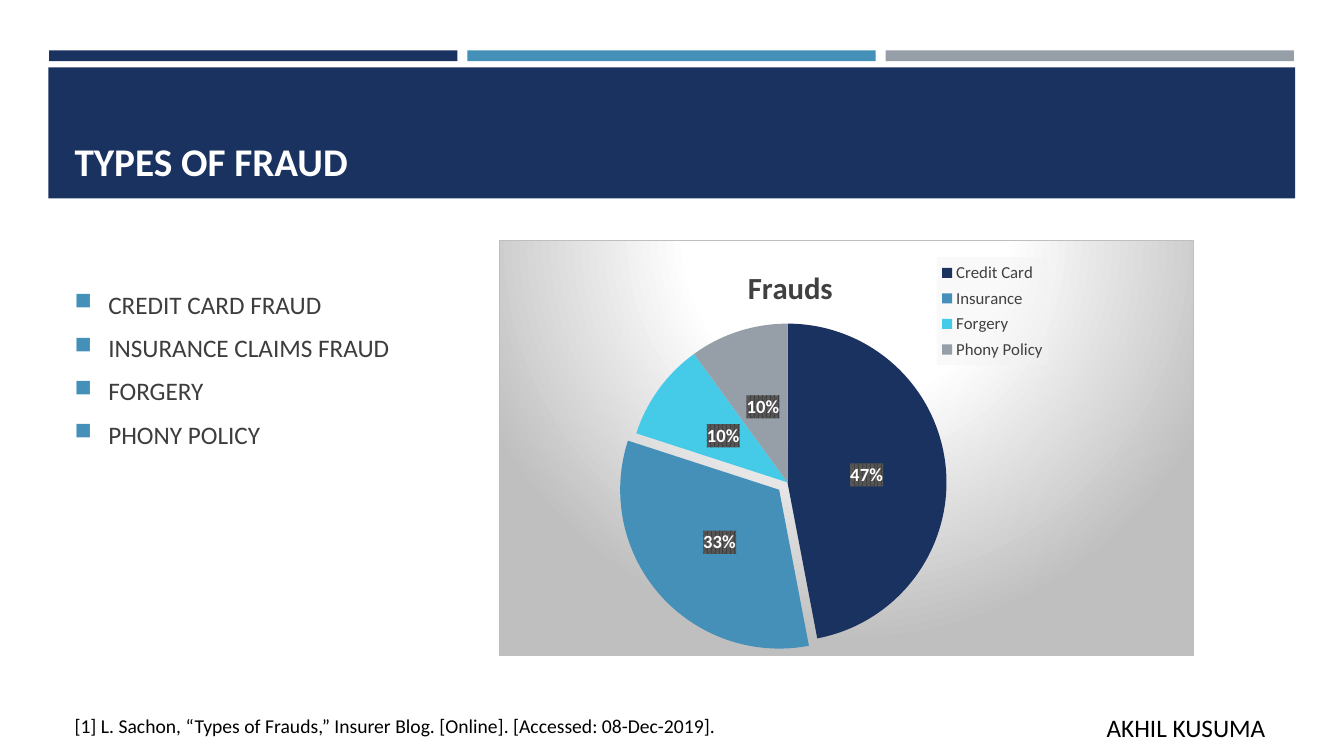
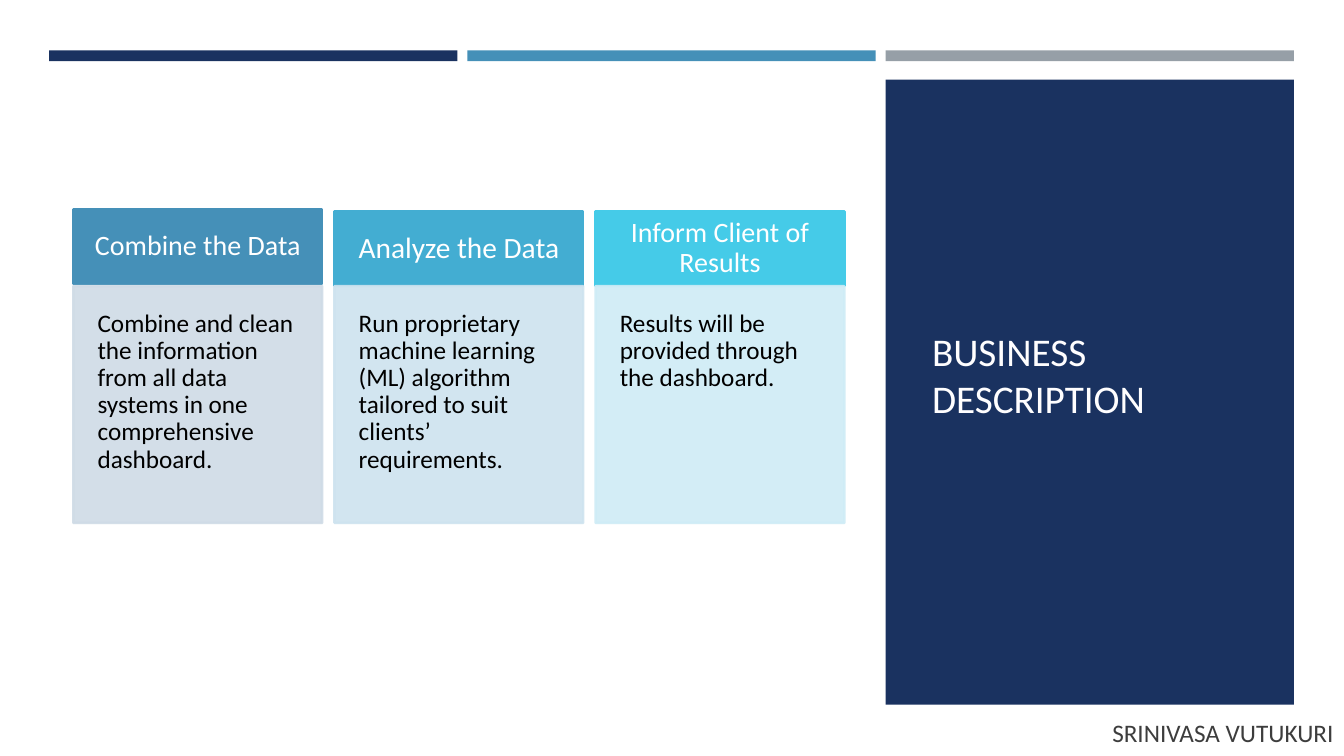
from pptx import Presentation
from pptx.chart.data import CategoryChartData
from pptx.dml.color import RGBColor
from pptx.enum.chart import XL_CHART_TYPE, XL_LABEL_POSITION, XL_LEGEND_POSITION
from pptx.enum.shapes import MSO_SHAPE
from pptx.enum.text import MSO_ANCHOR, PP_ALIGN
from pptx.oxml import parse_xml
from pptx.oxml.ns import nsdecls, qn
from pptx.util import Cm, Pt

PIE = XL_CHART_TYPE.PIE
LABEL_CENTER = XL_LABEL_POSITION.CENTER
LEGEND_RIGHT = XL_LEGEND_POSITION.RIGHT
RECTANGLE = MSO_SHAPE.RECTANGLE
TOP, MIDDLE, BOTTOM = MSO_ANCHOR.TOP, MSO_ANCHOR.MIDDLE, MSO_ANCHOR.BOTTOM
LEFT, CENTER, RIGHT = PP_ALIGN.LEFT, PP_ALIGN.CENTER, PP_ALIGN.RIGHT

FONT = "Calibri"
NAVY, BLUE, CYAN, GREY = "1A3260", "4590B8", "45CBE8", "969FA7"
WHITE, BLACK, BODY, CHART_TEXT = "FFFFFF", "000000", "3D3D3D", "404040"
TITLE_SIZE = 28

# Content
FRAUD_TITLE = "TYPES OF FRAUD"
FRAUD_TYPES = [
    "CREDIT CARD FRAUD",
    "INSURANCE CLAIMS FRAUD",
    "FORGERY",
    "PHONY POLICY",
]
CHART_TITLE = "Frauds"
FRAUD_SHARES = [
    ("Credit Card", 47, NAVY),
    ("Insurance", 33, BLUE),
    ("Forgery", 10, CYAN),
    ("Phony Policy", 10, GREY),
]
EXPLODED_SLICE = 1
REFERENCE = ("[1] L. Sachon, “Types of Frauds,” Insurer Blog. [Online]. "
             "[Accessed: 08-Dec-2019].")
FRAUD_AUTHOR = "AKHIL KUSUMA"

BUSINESS_TITLE = "BUSINESS DESCRIPTION"
# heading, heading size, heading top in cm, heading fill, description, body fill
STEPS = [
    ("Combine the Data", 20, 5.28, BLUE,
     "Combine and clean the information from all data systems in one "
     "comprehensive dashboard.", "CFDBE6"),
    ("Analyze the Data", 21, 5.33, "43ADD2",
     "Run proprietary machine learning (ML) algorithm tailored to suit "
     "clients’ requirements.", "CEE3EF"),
    ("Inform Client of Results", 20, 5.33, CYAN,
     "Results will be provided through the dashboard.", "CFECF6"),
]
BUSINESS_AUTHOR = "SRINIVASA\u00a0VUTUKURI"

# Shared grid, in cm
BAR_LEFT, BAR_TOP, BAR_WIDTH, BAR_HEIGHT, BAR_PITCH = 1.24, 1.27, 10.29, 0.27, 10.54
TEXT_LEFT, TEXT_WIDTH = 1.63, 30.63
CARD_LEFT, CARD_WIDTH, CARD_PITCH = 1.85, 6.27, 6.58
HEADING_HEIGHT, CARD_BODY_TOP, CARD_BODY_HEIGHT = 1.88, 7.21, 5.97


def color(value):
    """Turn a hex string into a colour."""
    return RGBColor.from_string(value)


def style_font(font, size, value, bold=False):
    """Set typeface, size, colour and weight."""
    font.name = FONT
    font.size = Pt(size)
    font.bold = bold
    font.color.rgb = color(value)


def add_box(slide, box, fill, outline=None, opacity=100):
    """Add a flat rectangle, optionally outlined and translucent."""
    shape = slide.shapes.add_shape(RECTANGLE, *map(Cm, box))
    shape.shadow.inherit = False
    shape.fill.solid()
    shape.fill.fore_color.rgb = color(fill)
    if outline:
        shape.line.color.rgb = color(outline)
        shape.line.width = Pt(1.75)
    else:
        shape.line.fill.background()
    if opacity < 100:
        for element in shape.element.spPr.iter(qn("a:srgbClr")):
            element.append(parse_xml(
                f'<a:alpha {nsdecls("a")} val="{opacity * 1000}"/>'))
    return shape


def write(shape, lines, size, value, anchor=TOP, align=LEFT, bold=False,
          inset=None, line_spacing=None):
    """Fill a shape with paragraphs in one style."""
    frame = shape.text_frame
    frame.word_wrap = True
    frame.vertical_anchor = anchor
    if inset is not None:
        frame.margin_left = frame.margin_right = Cm(inset)
        frame.margin_top = frame.margin_bottom = Cm(inset)
    frame.text = "\n".join(lines)
    for paragraph in frame.paragraphs:
        paragraph.alignment = align
        paragraph.line_spacing = line_spacing
        style_font(paragraph.font, size, value, bold)
    return frame


def add_text(slide, box, lines, size, value, **options):
    """Add a text box and return its text frame."""
    return write(slide.shapes.add_textbox(*map(Cm, box)), lines, size, value, **options)


def add_bullet(paragraph):
    """Give a paragraph a blue square bullet and its spacing."""
    paragraph.space_before = Pt(3.3)
    paragraph.space_after = Pt(6)
    properties = paragraph.font._element.getparent()
    properties.set("marL", str(Cm(0.85)))
    properties.set("indent", str(-Cm(0.85)))
    for markup in (
        f'<a:buClr {nsdecls("a")}><a:srgbClr val="{BLUE}"/></a:buClr>',
        f'<a:buSzPct {nsdecls("a")} val="92000"/>',
        f'<a:buChar {nsdecls("a")} char="■"/>',
    ):
        properties.find(qn("a:defRPr")).addprevious(parse_xml(markup))


def add_slide(presentation):
    """Add a blank slide with the three coloured bars."""
    slide = presentation.slides.add_slide(presentation.slide_layouts[6])
    for index, fill in enumerate((NAVY, BLUE, GREY)):
        left = BAR_LEFT + index * BAR_PITCH
        add_box(slide, (left, BAR_TOP, BAR_WIDTH, BAR_HEIGHT), fill)
    return slide


def set_layout(parent, previous_tag, inner=False, **fractions):
    """Place a chart part by fractions of the chart area."""
    for layout in parent.findall(qn("c:layout")):
        parent.remove(layout)
    target = '<c:layoutTarget val="inner"/>' if inner else ""
    modes = "".join(f'<c:{key}Mode val="edge"/>' for key in "xy")
    values = "".join(f'<c:{key} val="{value}"/>' for key, value in fractions.items())
    layout = parse_xml(f'<c:layout {nsdecls("c")}><c:manualLayout>{target}{modes}'
                       f'{values}</c:manualLayout></c:layout>')
    previous = parent.find(qn(previous_tag)) if previous_tag else None
    if previous is None:
        parent.insert(0, layout)
    else:
        previous.addnext(layout)


def set_background(parent, markup):
    """Put shape properties before the text properties of a chart part."""
    parent.find(qn("c:txPr")).addprevious(parse_xml(
        f'<c:spPr {nsdecls("c", "a")}>{markup}</c:spPr>'))


def add_fraud_chart(slide):
    """Add the pie chart of fraud shares."""
    data = CategoryChartData()
    data.categories = [name for name, _, _ in FRAUD_SHARES]
    data.add_series(CHART_TITLE, [share for _, share, _ in FRAUD_SHARES])
    box = map(Cm, (12.57, 6.05, 17.53, 10.49))
    chart = slide.shapes.add_chart(PIE, *box, data).chart
    style_font(chart.font, 10, BLACK)

    chart.has_title = True
    title_frame = chart.chart_title.text_frame
    title_frame.text = CHART_TITLE
    style_font(title_frame.paragraphs[0].font, 22, CHART_TEXT, bold=True)

    chart.has_legend = True
    chart.legend.position = LEGEND_RIGHT
    chart.legend.include_in_layout = False
    style_font(chart.legend.font, 12, CHART_TEXT)

    plot = chart.plots[0]
    plot.vary_by_categories = True
    series = plot.series[0]
    for index, (_, _, fill) in enumerate(FRAUD_SHARES):
        slice_format = series.points[index].format
        slice_format.fill.solid()
        slice_format.fill.fore_color.rgb = color(fill)
        slice_format.line.fill.background()
    labels = series.data_labels
    labels.show_percentage = True
    labels.show_value = False
    labels.number_format = "0%"
    labels.number_format_is_linked = False
    labels.position = LABEL_CENTER
    style_font(labels.font, 13.3, WHITE, bold=True)

    root = chart.element
    points = list(root.iter(qn("c:dPt")))
    points[EXPLODED_SLICE].find(qn("c:spPr")).addprevious(
        parse_xml(f'<c:explosion {nsdecls("c")} val="7"/>'))
    legend = next(root.iter(qn("c:legend")))
    set_layout(next(root.iter(qn("c:title"))), "c:tx", x=0.35, y=0.05)
    set_layout(legend, "c:legendPos", x=0.63, y=0.04, w=0.16, h=0.26)
    set_layout(next(root.iter(qn("c:plotArea"))), None, inner=True,
               x=0.185, y=0.2, w=0.46, h=0.765)
    set_background(legend, '<a:solidFill><a:srgbClr val="F2F2F2">'
                           '<a:alpha val="39000"/></a:srgbClr></a:solidFill>')
    set_background(next(root.iter(qn("c:dLbls"))),
                   '<a:pattFill prst="pct75"><a:fgClr><a:srgbClr val="404040"/></a:fgClr>'
                   '<a:bgClr><a:srgbClr val="595959"/></a:bgClr></a:pattFill>')
    stops = "".join(f'<a:gs pos="{position}000"><a:srgbClr val="{value}"/></a:gs>'
                    for position, value in ((0, WHITE), (39, WHITE), (100, "BFBFBF")))
    set_background(root, f'<a:gradFill><a:gsLst>{stops}</a:gsLst><a:path path="circle">'
                         '<a:fillToRect l="50000" t="-80000" r="50000" b="180000"/>'
                         f'</a:path></a:gradFill><a:ln w="{Pt(0.75)}"><a:solidFill>'
                         '<a:srgbClr val="BFBFBF"/></a:solidFill></a:ln>')


def build_fraud_slide(presentation):
    """Build the slide with fraud types and their shares."""
    slide = add_slide(presentation)
    add_box(slide, (1.22, 1.7, 31.42, 3.3), NAVY)
    add_text(slide, (TEXT_LEFT, 1.96, TEXT_WIDTH, 2.82), [FRAUD_TITLE],
             TITLE_SIZE, WHITE, anchor=BOTTOM, bold=True)
    frame = add_text(slide, (TEXT_LEFT, 6.05, TEXT_WIDTH, 10.21), FRAUD_TYPES, 18, BODY)
    frame.margin_top = Cm(1.24)
    for paragraph in frame.paragraphs:
        add_bullet(paragraph)
    add_fraud_chart(slide)
    add_text(slide, (TEXT_LEFT, 17.86, 26, 0.86), [REFERENCE], 14, BLACK)
    add_text(slide, (27.64, 17.83, 6.2, 1.02), [FRAUD_AUTHOR], 18, BLACK)


def build_business_slide(presentation):
    """Build the slide with the three business steps."""
    slide = add_slide(presentation)
    panel_left = BAR_LEFT + 2 * BAR_PITCH
    add_box(slide, (panel_left, 2.01, BAR_WIDTH, 15.75), NAVY)
    add_text(slide, (23.24, 2.9, 8.48, 13.08), [BUSINESS_TITLE],
             TITLE_SIZE, "FFFEFF", anchor=MIDDLE)
    for index, (heading, size, top, fill, description, body_fill) in enumerate(STEPS):
        left = CARD_LEFT + index * CARD_PITCH
        header = add_box(slide, (left, top, CARD_WIDTH, HEADING_HEIGHT), fill, fill)
        write(header, [heading], size, WHITE, anchor=MIDDLE, align=CENTER,
              inset=0.5, line_spacing=0.9)
        card = add_box(slide, (left, CARD_BODY_TOP, CARD_WIDTH, CARD_BODY_HEIGHT),
                       body_fill, body_fill, opacity=90)
        write(card, [description], 18, BLACK, inset=0.61, line_spacing=0.9)
    add_text(slide, (26.26, 17.96, 7.6, 1.02), [BUSINESS_AUTHOR], 18, BODY, align=RIGHT)


presentation = Presentation()
presentation.slide_width = Cm(33.87)
presentation.slide_height = Cm(19.05)
build_fraud_slide(presentation)
build_business_slide(presentation)
presentation.save("out.pptx")
